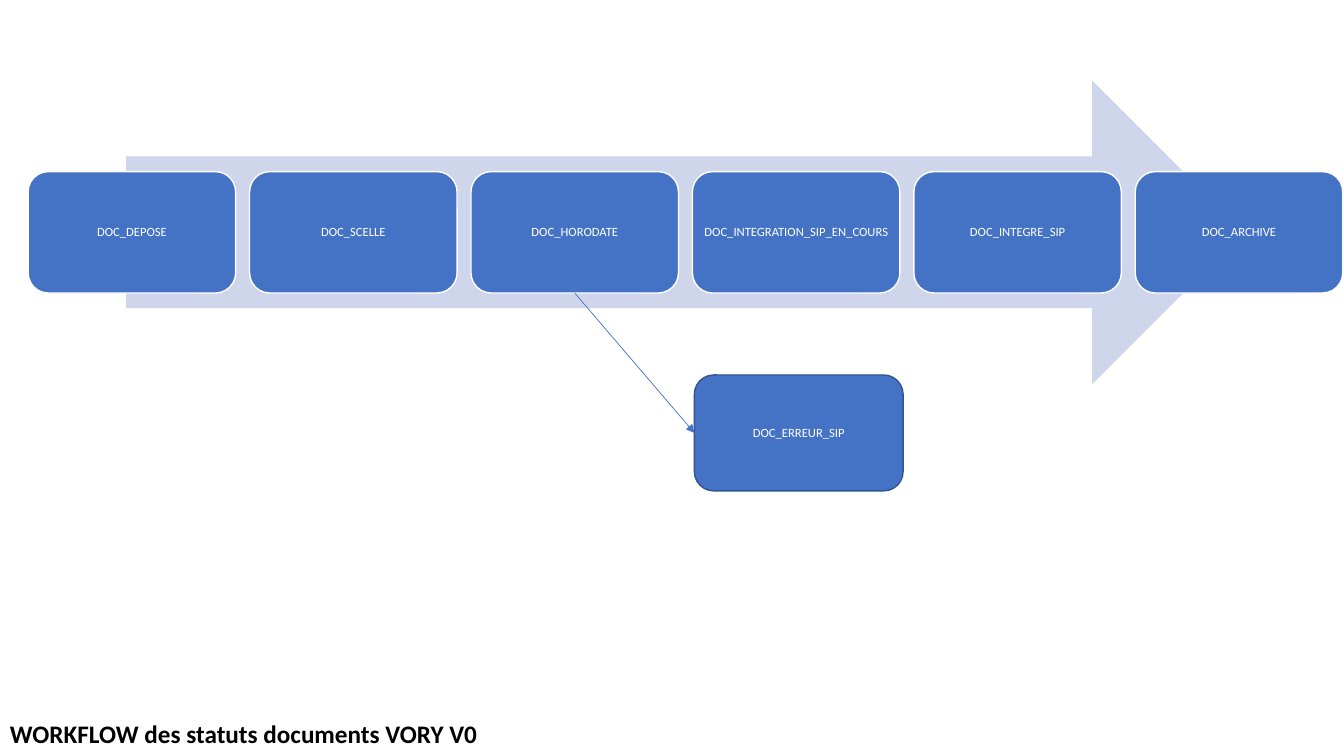
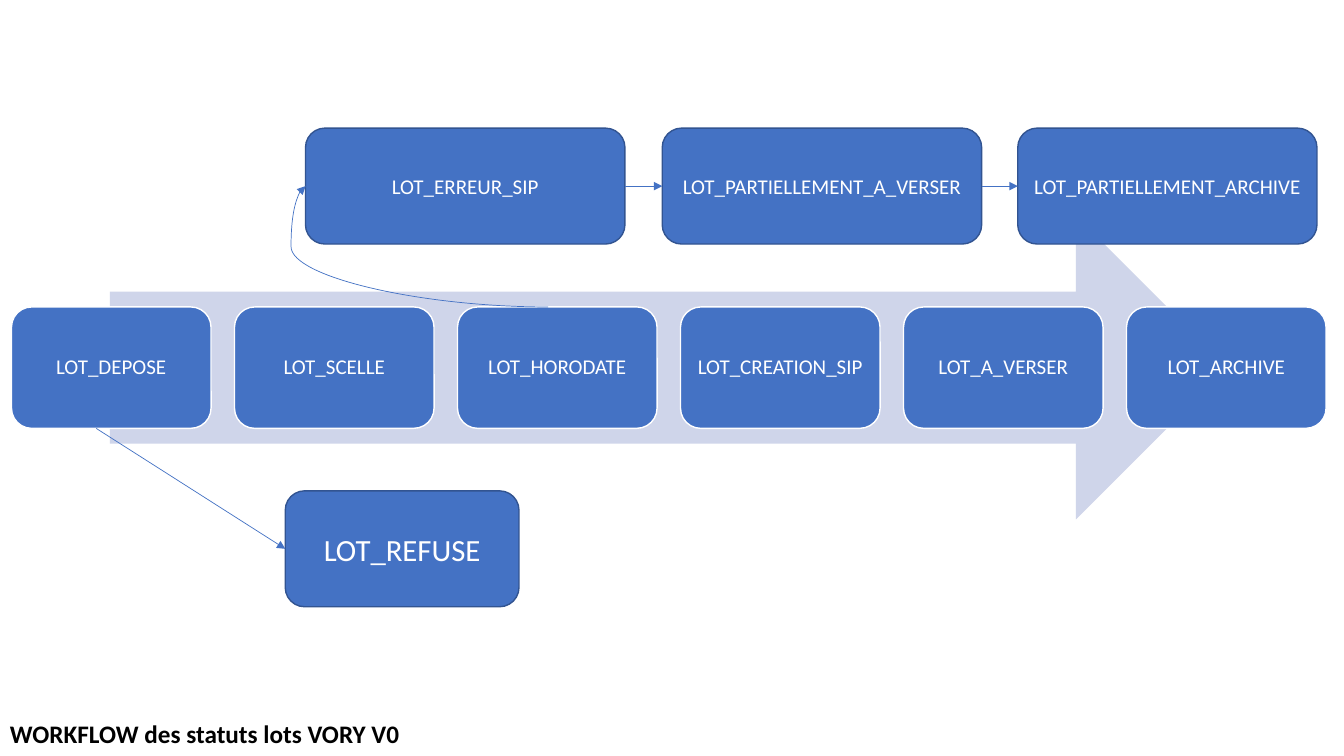
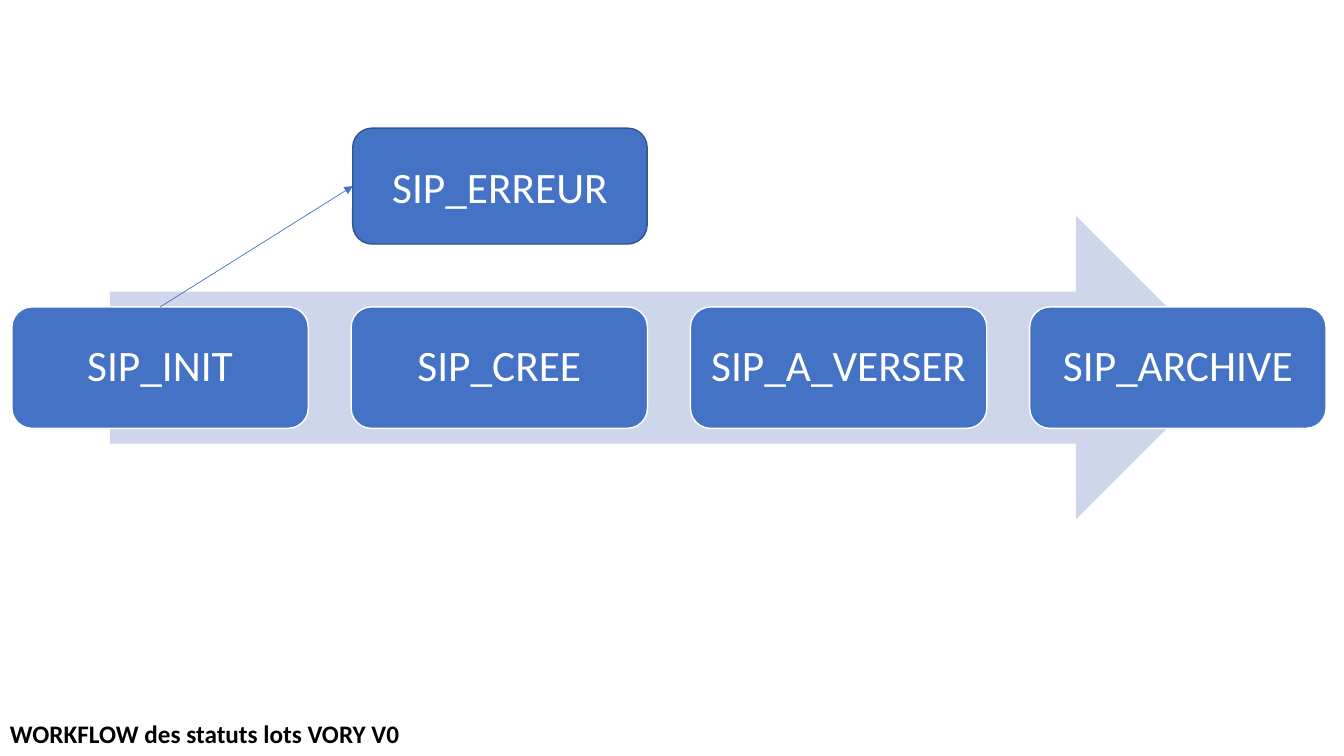
"""Builds the three status workflow slides."""
import dataclasses
import typing

import lxml.etree
import pptx
import pptx.dml.color
import pptx.enum.shapes
import pptx.enum.text
import pptx.oxml.ns
import pptx.presentation
import pptx.shapes.autoshape
import pptx.shapes.base
import pptx.shapes.connector
import pptx.slide
import pptx.util

Cm = pptx.util.Cm
Pt = pptx.util.Pt
RGBColor = pptx.dml.color.RGBColor
Shape = pptx.enum.shapes.MSO_SHAPE
Connector = pptx.enum.shapes.MSO_CONNECTOR
Align = pptx.enum.text.PP_ALIGN
Anchor = pptx.enum.text.MSO_ANCHOR
qn = pptx.oxml.ns.qn

BLUE = RGBColor(0x44, 0x72, 0xC4)
DARK_BLUE = RGBColor(0x32, 0x54, 0x91)
PALE_BLUE = RGBColor(0xCF, 0xD5, 0xEA)
WHITE = RGBColor(0xFF, 0xFF, 0xFF)
BLACK = RGBColor(0x00, 0x00, 0x00)
FONT_NAME = "Calibri"

ARROW_WIDTH, ARROW_HEIGHT = 28.17, 7.65
STEP_TOP_SHARE, STEP_HEIGHT_SHARE = 0.3, 0.4
BRANCH_HEIGHT = 2.92
TITLE_PLACE = (0, 17.96, 13.46, 1.02)
TITLE_LAYOUT = 5

TITLE_FRAME = {"word_wrap": True, "vertical_anchor": Anchor.TOP,
               "margin_left": Cm(0.25), "margin_right": Cm(0.25),
               "margin_top": Cm(0.13), "margin_bottom": Cm(0.13)}
BRANCH_FRAME = TITLE_FRAME | {"vertical_anchor": Anchor.MIDDLE}
STEP_FRAME = BRANCH_FRAME | {"margin_left": Cm(0.1), "margin_right": Cm(0.1)}
TITLE_PARA = {"alignment": Align.LEFT, "line_spacing": 1.0}
BRANCH_PARA = {"alignment": Align.CENTER, "line_spacing": 1.0}
STEP_PARA = {"alignment": Align.CENTER, "line_spacing": 0.9}

# Connection sites of a rounded rectangle: index, share of width, share of height
TOP, LEFT, BOTTOM, RIGHT = (0, 0.5, 0), (1, 0, 0.5), (2, 0.5, 1), (3, 1, 0.5)
Site = tuple[int, float, float]
Boxes = dict[str, pptx.shapes.autoshape.Shape]


@dataclasses.dataclass(frozen=True)
class Steps:
    """Row of equal boxes on the big arrow, in centimetres."""
    names: tuple[str, ...]
    left: float
    width: float
    pitch: float
    size: int


@dataclasses.dataclass(frozen=True)
class Branch:
    """Box beside the main row, in centimetres."""
    name: str
    left: float
    top: float
    width: float
    size: int


@dataclasses.dataclass(frozen=True)
class Link:
    """Arrow to the left side of a branch; shift moves its start sideways."""
    origin: str
    site: Site
    target: str
    shift: float = 0
    bend: float = 0


@dataclasses.dataclass(frozen=True)
class Workflow:
    """Everything one slide shows."""
    title: str
    arrow_left: float
    arrow_top: float
    steps: Steps
    branches: tuple[Branch, ...]
    links: tuple[Link, ...]


WORKFLOWS = (
    Workflow(
        "WORKFLOW des statuts documents VORY V0", 3.18, 2.03,
        Steps(("DOC_DEPOSE", "DOC_SCELLE", "DOC_HORODATE",
               "DOC_INTEGRATION_SIP_EN_COURS", "DOC_INTEGRE_SIP", "DOC_ARCHIVE"),
              0.71, 5.23, 5.58, 9),
        (Branch("DOC_ERREUR_SIP", 17.5, 9.45, 5.26, 9),),
        (Link("DOC_HORODATE", BOTTOM, "DOC_ERREUR_SIP"),)),
    Workflow(
        "WORKFLOW des statuts lots VORY V0", 2.77, 5.44,
        Steps(("LOT_DEPOSE", "LOT_SCELLE", "LOT_HORODATE",
               "LOT_CREATION_SIP", "LOT_A_VERSER", "LOT_ARCHIVE"),
              0.29, 5.03, 5.62, 15),
        (Branch("LOT_REFUSE", 7.19, 12.37, 5.89, 22),
         Branch("LOT_ERREUR_SIP", 7.7, 3.23, 8.05, 15),
         Branch("LOT_PARTIELLEMENT_A_VERSER", 16.69, 3.23, 8.05, 15),
         Branch("LOT_PARTIELLEMENT_ARCHIVE", 25.65, 3.23, 7.54, 15)),
        (Link("LOT_DEPOSE", BOTTOM, "LOT_REFUSE", shift=-0.38),
         Link("LOT_HORODATE", TOP, "LOT_ERREUR_SIP", shift=-0.23, bend=1.06),
         Link("LOT_ERREUR_SIP", RIGHT, "LOT_PARTIELLEMENT_A_VERSER"),
         Link("LOT_PARTIELLEMENT_A_VERSER", RIGHT, "LOT_PARTIELLEMENT_ARCHIVE"))),
    Workflow(
        "WORKFLOW des statuts lots VORY V0", 2.77, 5.44,
        Steps(("SIP_INIT", "SIP_CREE", "SIP_A_VERSER", "SIP_ARCHIVE"),
              0.3, 7.47, 8.55, 31),
        (Branch("SIP_ERREUR", 8.89, 3.23, 7.42, 31),),
        (Link("SIP_INIT", TOP, "SIP_ERREUR"),)),
)


def apply_format(target: object, values: dict[str, typing.Any]) -> None:
    """Set each named attribute on the target."""
    for name, value in values.items():
        setattr(target, name, value)


def write_text(box: pptx.shapes.base.BaseShape, text: str, frame_format: dict,
               para_format: dict, font_format: dict, color: RGBColor) -> None:
    """Put one formatted line of text into a box."""
    frame = box.text_frame
    apply_format(frame, frame_format)
    para = frame.paragraphs[0]
    apply_format(para, para_format)
    span = para.add_run()
    span.text = text
    apply_format(span.font, {"name": FONT_NAME} | font_format)
    span.font.color.rgb = color


def add_title(page: pptx.slide.Slide, text: str) -> None:
    """Place the title at the foot of the slide."""
    title = page.shapes.title
    left, top, width, height = map(Cm, TITLE_PLACE)
    apply_format(title, {"left": left, "top": top, "width": width, "height": height})
    write_text(title, text, TITLE_FRAME, TITLE_PARA,
               {"size": Pt(18), "bold": True}, BLACK)


def add_block(page: pptx.slide.Slide, kind: Shape, place: tuple[float, ...],
              fill: RGBColor, line: RGBColor | None) -> pptx.shapes.autoshape.Shape:
    """Draw a flat shape at a place given in centimetres."""
    block = page.shapes.add_shape(kind, *map(Cm, place))
    block.shadow.inherit = False
    block.fill.solid()
    block.fill.fore_color.rgb = fill
    if line is None:
        block.line.fill.background()
    else:
        block.line.color.rgb = line
        block.line.width = Pt(1)
    return block


def add_steps(page: pptx.slide.Slide, steps: Steps, arrow_top: float) -> Boxes:
    """Draw the row of steps centred on the big arrow."""
    top = arrow_top + STEP_TOP_SHARE * ARROW_HEIGHT
    height = STEP_HEIGHT_SHARE * ARROW_HEIGHT
    boxes = {}
    for index, name in enumerate(steps.names):
        place = (steps.left + index * steps.pitch, top, steps.width, height)
        box = add_block(page, Shape.ROUNDED_RECTANGLE, place, BLUE, WHITE)
        write_text(box, name, STEP_FRAME, STEP_PARA, {"size": Pt(steps.size)}, WHITE)
        boxes[name] = box
    return boxes


def add_branch(page: pptx.slide.Slide, branch: Branch) -> pptx.shapes.autoshape.Shape:
    """Draw one box beside the main row."""
    place = (branch.left, branch.top, branch.width, BRANCH_HEIGHT)
    box = add_block(page, Shape.ROUNDED_RECTANGLE, place, BLUE, DARK_BLUE)
    write_text(box, branch.name, BRANCH_FRAME, BRANCH_PARA,
               {"size": Pt(branch.size)}, WHITE)
    return box


def site_point(box: pptx.shapes.autoshape.Shape, site: Site) -> tuple[int, int]:
    """Return the position of a connection site."""
    _, across, down = site
    return int(box.left + across * box.width), int(box.top + down * box.height)


def bend_curve(connector: pptx.shapes.connector.Connector, bend: float) -> None:
    """Turn a curve half round and set how far it swings out."""
    properties = connector._element.spPr
    properties.find(qn("a:xfrm")).set("rot", str(180 * 60000))
    guides = properties.find(qn("a:prstGeom")).find(qn("a:avLst"))
    lxml.etree.SubElement(guides, qn("a:gd"), name="adj1",
                          fmla=f"val {round(bend * 100000)}")


def add_link(page: pptx.slide.Slide, link: Link, boxes: Boxes) -> None:
    """Draw the arrow between two boxes."""
    origin, target = boxes[link.origin], boxes[link.target]
    start_x, start_y = site_point(origin, link.site)
    start = (start_x + Cm(link.shift), start_y)
    end = site_point(target, LEFT)
    if link.bend:
        # The half turn swaps the ends, so the curve is laid out from its tip
        connector = page.shapes.add_connector(Connector.CURVE, *end, *start)
        bend_curve(connector, link.bend)
    else:
        connector = page.shapes.add_connector(Connector.STRAIGHT, *start, *end)
        if not link.shift:
            connector.begin_connect(origin, link.site[0])
            connector.end_connect(target, LEFT[0])
    connector.line.color.rgb = BLUE
    connector.line.width = Pt(0.5)
    properties = connector._element.spPr
    lxml.etree.SubElement(properties.find(qn("a:ln")), qn("a:tailEnd"), type="triangle")
    lxml.etree.SubElement(properties, qn("a:effectLst"))


def add_workflow(deck: pptx.presentation.Presentation, workflow: Workflow) -> None:
    """Build one workflow slide."""
    page = deck.slides.add_slide(deck.slide_layouts[TITLE_LAYOUT])
    add_title(page, workflow.title)
    arrow_place = (workflow.arrow_left, workflow.arrow_top, ARROW_WIDTH, ARROW_HEIGHT)
    add_block(page, Shape.RIGHT_ARROW, arrow_place, PALE_BLUE, None)
    boxes = add_steps(page, workflow.steps, workflow.arrow_top)
    for branch in workflow.branches:
        boxes[branch.name] = add_branch(page, branch)
    for link in workflow.links:
        add_link(page, link, boxes)


def main() -> None:
    """Build and save the deck."""
    deck = pptx.Presentation()
    apply_format(deck, {"slide_width": Cm(33.87), "slide_height": Cm(19.05)})
    for workflow in WORKFLOWS:
        add_workflow(deck, workflow)
    deck.save("out.pptx")


main()
